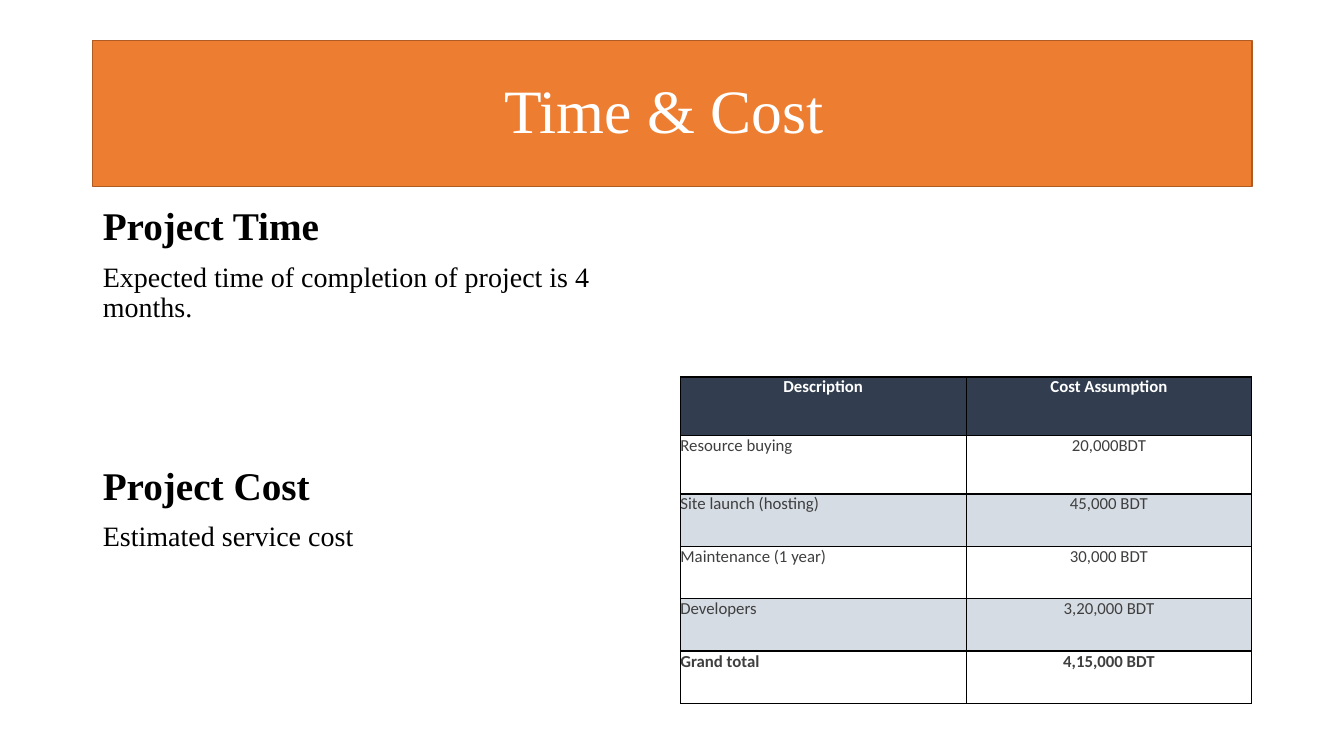
from dataclasses import dataclass

from lxml.etree import SubElement
from pptx import Presentation
from pptx.dml.color import RGBColor
from pptx.enum.text import MSO_ANCHOR, MSO_AUTO_SIZE, PP_ALIGN
from pptx.oxml.ns import qn
from pptx.util import Pt

SERIF = "Times New Roman"
SANS = "Calibri"
WHITE = "FFFFFF"
BLACK = "000000"
GREY = "3F3F3F"
NAVY = "323E4F"
PALE = "D6DCE4"
LEFT = 66.24


@dataclass
class Line:
    text: str
    size: float
    bold: bool
    gap: float


@dataclass
class Row:
    item: str
    cost: str
    high: float
    fill: str = WHITE
    ink: str = GREY
    bold: bool = False


LINES = [
    Line("Project Time", 28, True, 0),
    Line("Expected time of completion of project is 4 months.", 20, False, 10),
    Line("Project Cost", 28, True, 102),
    Line("Estimated service cost", 20, False, 10),
]
ROWS = [
    Row("Description", "Cost Assumption", 41.76, NAVY, WHITE, True),
    Row("Resource buying", "20,000BDT", 41.76),
    Row("Site launch (hosting)", "45,000 BDT", 37.44, PALE),
    Row("Maintenance (1 year)", "30,000 BDT", 37.44),
    Row("Developers", "3,20,000 BDT", 37.44, PALE),
    Row("Grand total", "4,15,000 BDT", 37.44, bold=True),
]


def paint(target, code: str) -> None:
    """Give a fill or a font a solid colour."""
    if hasattr(target, "solid"):
        target.solid()
        target.fore_color.rgb = RGBColor.from_string(code)
    else:
        target.color.rgb = RGBColor.from_string(code)


def style(para, face: str, size: float, ink: str, bold: bool = False) -> None:
    for run in para.runs:
        run.font.name = face
        run.font.size = Pt(size)
        run.font.bold = bold
        paint(run.font, ink)


def place(shape, left: float, top: float, width: float, height: float) -> None:
    shape.left, shape.top = Pt(left), Pt(top)
    shape.width, shape.height = Pt(width), Pt(height)


def edge(cell) -> None:
    """Draw a thin black line on all four sides of a cell."""
    props = cell._tc.get_or_add_tcPr()
    for side in ("lnL", "lnR", "lnT", "lnB"):
        line = SubElement(props, qn(f"a:{side}"), w=str(Pt(1)))
        fill = SubElement(line, qn("a:solidFill"))
        SubElement(fill, qn("a:srgbClr"), val=BLACK)


def draw_title(title) -> None:
    place(title, LEFT, 28.8, 828, 104.4)
    paint(title.fill, "ED7D31")
    paint(title.line.fill, "AF5C24")
    title.line.width = Pt(1)
    frame = title.text_frame
    frame.text = "Time & Cost"
    frame.auto_size = MSO_AUTO_SIZE.NONE
    frame.vertical_anchor = MSO_ANCHOR.MIDDLE
    frame.margin_right = Pt(18.6)
    para = frame.paragraphs[0]
    para.alignment = PP_ALIGN.CENTER
    para.line_spacing = 0.9
    style(para, SERIF, 44, WHITE)


def draw_body(body, lines: list[Line]) -> None:
    place(body, LEFT, 144, 408.24, 342.72)
    frame = body.text_frame
    frame.text = "\n".join(line.text for line in lines)
    frame.auto_size = MSO_AUTO_SIZE.NONE
    for para, line in zip(frame.paragraphs, lines):
        props = para._p.get_or_add_pPr()
        props.set("marL", "0")
        props.set("indent", "0")
        SubElement(props, qn("a:buNone"))
        para.line_spacing = 0.9
        para.space_before = Pt(line.gap)
        style(para, SERIF, line.size, BLACK, line.bold)


def draw_cell(cell, text: str, row: Row, align) -> None:
    edge(cell)
    paint(cell.fill, row.fill)
    cell.margin_left = cell.margin_right = 0
    cell.margin_top = cell.margin_bottom = 0
    cell.text_frame.text = text
    para = cell.text_frame.paragraphs[0]
    para.alignment = align
    style(para, SANS, 12, row.ink, row.bold)


def draw_costs(slide, rows: list[Row]) -> None:
    high = sum(row.high for row in rows)
    table = slide.shapes.add_table(
        len(rows), 2, Pt(486), Pt(269.28), Pt(408.24), Pt(high)).table
    table.horz_banding = False
    for num, row in enumerate(rows):
        table.rows[num].height = Pt(row.high)
        first = PP_ALIGN.LEFT if num else PP_ALIGN.CENTER
        draw_cell(table.cell(num, 0), row.item, row, first)
        draw_cell(table.cell(num, 1), row.cost, row, PP_ALIGN.CENTER)


def main() -> None:
    deck = Presentation()
    deck.slide_width, deck.slide_height = Pt(960), Pt(540)
    slide = deck.slides.add_slide(deck.slide_layouts[1])

    # Banner and text
    draw_title(slide.shapes.title)
    draw_body(slide.placeholders[1], LINES)

    # Cost table
    draw_costs(slide, ROWS)
    deck.save("out.pptx")


if __name__ == "__main__":
    main()
